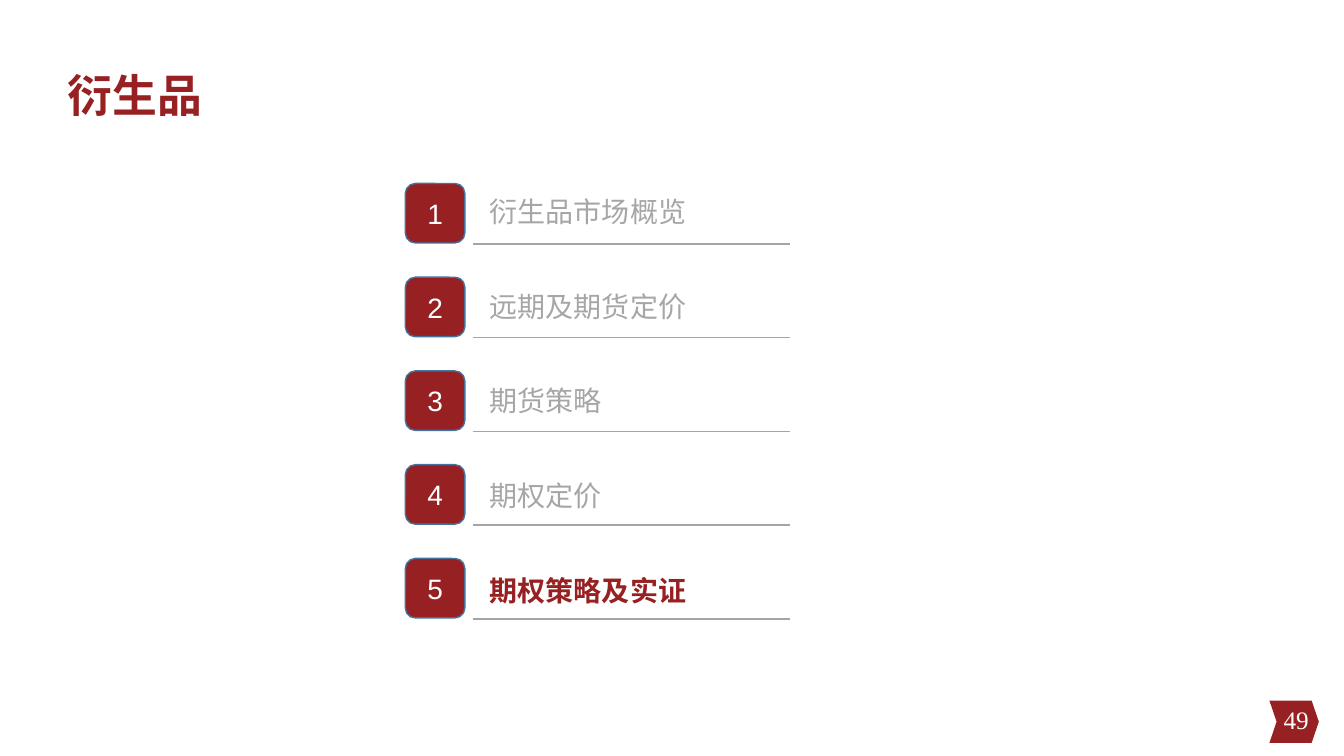
"""Build the agenda slide of the derivatives course, with the fifth topic highlighted."""
from dataclasses import dataclass

from lxml.etree import SubElement
from pptx import Presentation
from pptx.dml.color import RGBColor
from pptx.enum.shapes import MSO_CONNECTOR as Connector, MSO_SHAPE as Shape
from pptx.enum.text import MSO_ANCHOR as Anchor, MSO_AUTO_SIZE as AutoSize, PP_ALIGN as Align
from pptx.oxml.ns import qn
from pptx.shapes.autoshape import Shape as Box
from pptx.slide import Slide
from pptx.util import Inches, Pt


@dataclass(frozen=True)
class Theme:
    red: RGBColor = RGBColor.from_string("972022")
    muted: RGBColor = RGBColor.from_string("A6A6A6")
    rule: RGBColor = RGBColor.from_string("A5A5A5")
    outline: RGBColor = RGBColor.from_string("43739E")
    white: RGBColor = RGBColor.from_string("FFFFFF")
    serif: str = "Times New Roman"
    sans: str = "Arial"
    title_size: int = 32
    topic_size: int = 20
    page_size: int = 18


@dataclass(frozen=True)
class Rows:
    first: float
    pitch: float

    def at(self, index: int) -> float:
        return self.first + index * self.pitch


@dataclass(frozen=True)
class Topic:
    name: str
    current: bool = False


THEME = Theme()
TILE_ROWS = Rows(1.82, 0.93)
LABEL_ROWS = Rows(1.88, 0.94)
RULE_ROWS = Rows(2.42, 0.93)
TILE_LEFT, TILE_SIDE = 4.02, 0.59
RULE_LEFT, RULE_RIGHT = 4.69, 7.84
LABEL_LEFT, LABEL_WIDTH, LABEL_HEIGHT = 4.76, 4.87, 0.44
TOPICS = (
    Topic("衍生品市场概览"),
    Topic("远期及期货定价"),
    Topic("期货策略"),
    Topic("期权定价"),
    Topic("期权策略及实证", current=True),
)


def write(box: Box, text: str, size: int, color: RGBColor, font: str = THEME.serif,
          bold: bool = False, align: Align = Align.LEFT, anchor: Anchor = Anchor.TOP) -> None:
    frame = box.text_frame
    frame.word_wrap = True
    frame.vertical_anchor = anchor
    frame.text = text
    para = frame.paragraphs[0]
    para.alignment = align
    span = para.runs[0]
    span.font.name = font
    span.font.size = Pt(size)
    span.font.bold = bold
    span.font.color.rgb = color


def add_title(page: Slide, text: str) -> None:
    title = page.shapes.title
    title.left, title.top = Inches(0.57), Inches(0.62)
    title.width, title.height = Inches(11.5), Inches(0.85)
    title.text_frame.auto_size = AutoSize.NONE
    write(title, text, THEME.title_size, THEME.red, bold=True)


def add_filled(page: Slide, kind: Shape, left: float, top: float,
               width: float, height: float) -> Box:
    box = page.shapes.add_shape(kind, Inches(left), Inches(top), Inches(width), Inches(height))
    box.shadow.inherit = False
    box.fill.solid()
    box.fill.fore_color.rgb = THEME.red
    box.line.fill.background()
    return box


def add_tile(page: Slide, index: int) -> None:
    tile = add_filled(page, Shape.ROUNDED_RECTANGLE, TILE_LEFT, TILE_ROWS.at(index),
                      TILE_SIDE, TILE_SIDE)
    tile.line.color.rgb = THEME.outline
    tile.line.width = Pt(1)
    write(tile, str(index + 1), THEME.topic_size, THEME.white, THEME.sans,
          align=Align.CENTER, anchor=Anchor.MIDDLE)


def add_rule(page: Slide, index: int) -> None:
    height = Inches(RULE_ROWS.at(index))
    rule = page.shapes.add_connector(Connector.STRAIGHT, Inches(RULE_LEFT), height,
                                     Inches(RULE_RIGHT), height)
    rule.line.color.rgb = THEME.rule
    rule.line.width = Pt(1)
    SubElement(rule.element.spPr, qn("a:effectLst"))


def add_label(page: Slide, index: int, topic: Topic) -> None:
    label = page.shapes.add_textbox(Inches(LABEL_LEFT), Inches(LABEL_ROWS.at(index)),
                                    Inches(LABEL_WIDTH), Inches(LABEL_HEIGHT))
    label.text_frame.auto_size = AutoSize.SHAPE_TO_FIT_TEXT
    color = THEME.red if topic.current else THEME.muted
    write(label, topic.name, THEME.topic_size, color, bold=topic.current)


def add_page_number(page: Slide, number: int) -> None:
    chevron = add_filled(page, Shape.CHEVRON, 12.59, 6.95, 0.49, 0.42)
    chevron.adjustments[0] = 0.17
    box = page.shapes.add_textbox(Inches(10.08), Inches(6.94), Inches(3), Inches(0.4))
    write(box, str(number), THEME.page_size, THEME.white, align=Align.RIGHT, anchor=Anchor.MIDDLE)


def main() -> None:
    deck = Presentation()
    deck.slide_width, deck.slide_height = Inches(13.33), Inches(7.5)
    page = deck.slides.add_slide(deck.slide_layouts.get_by_name("Title Only"))
    add_title(page, "衍生品")
    for index, topic in enumerate(TOPICS):
        add_tile(page, index)
        add_rule(page, index)
        add_label(page, index, topic)
    add_page_number(page, 49)
    deck.save("out.pptx")


if __name__ == "__main__":
    main()
